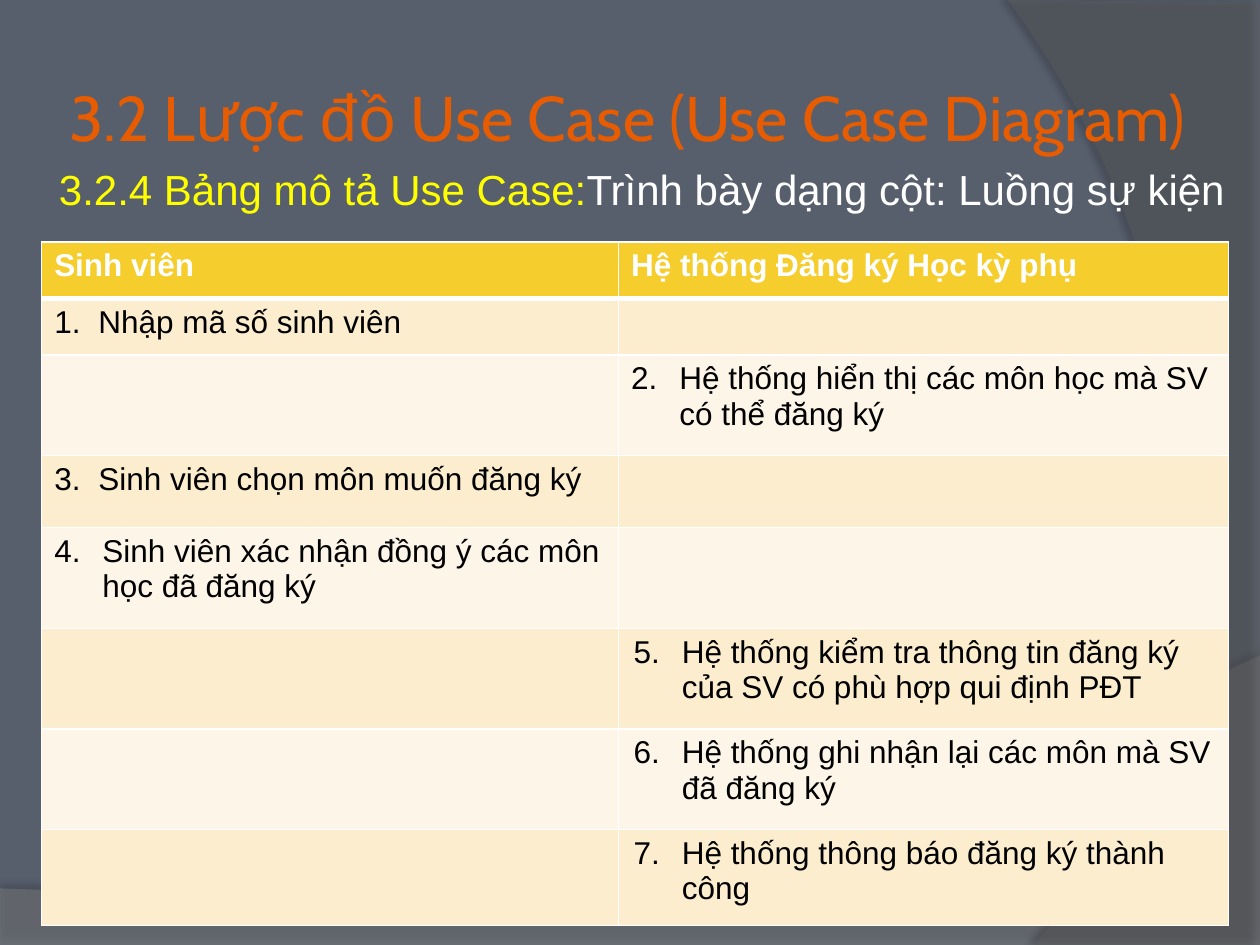
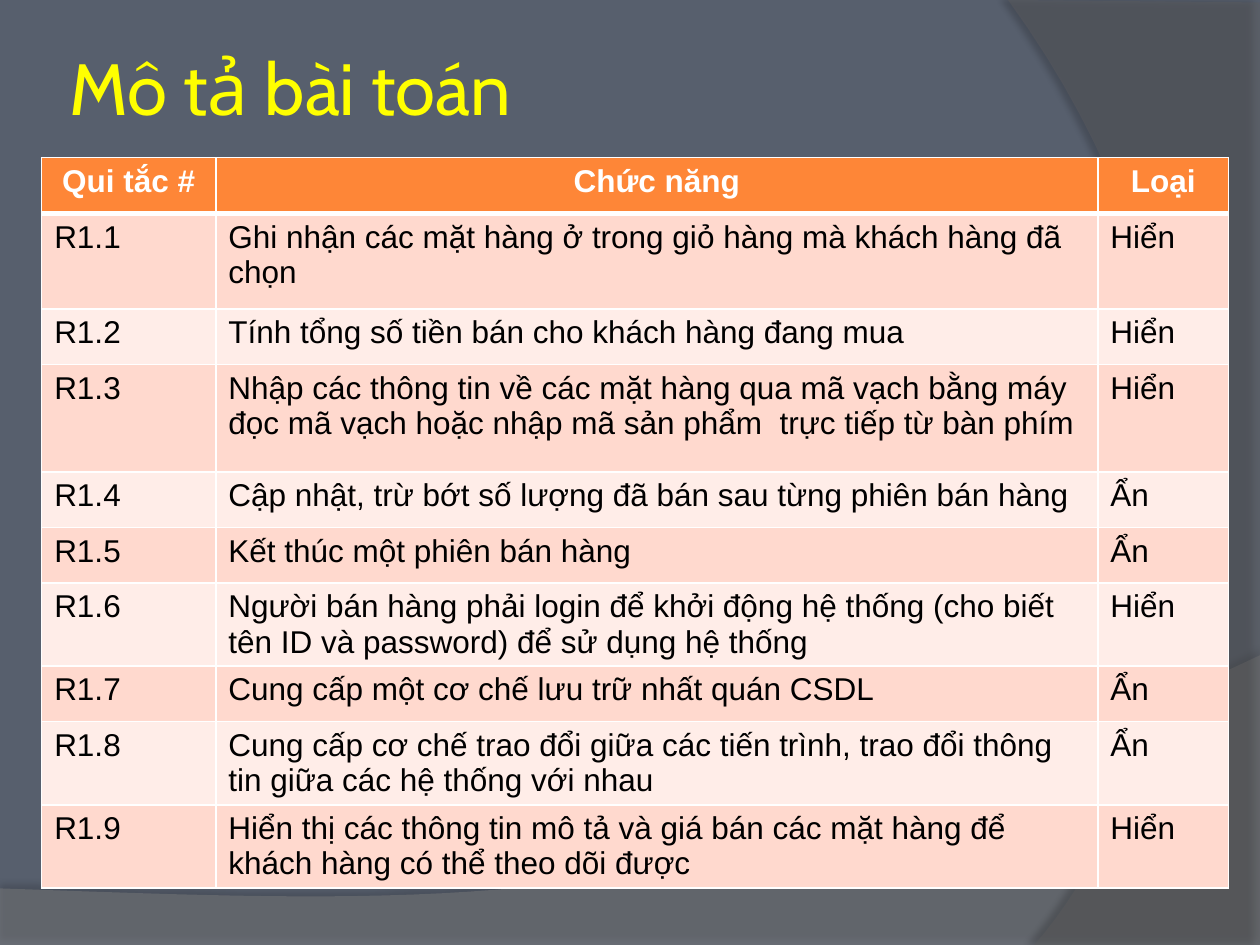
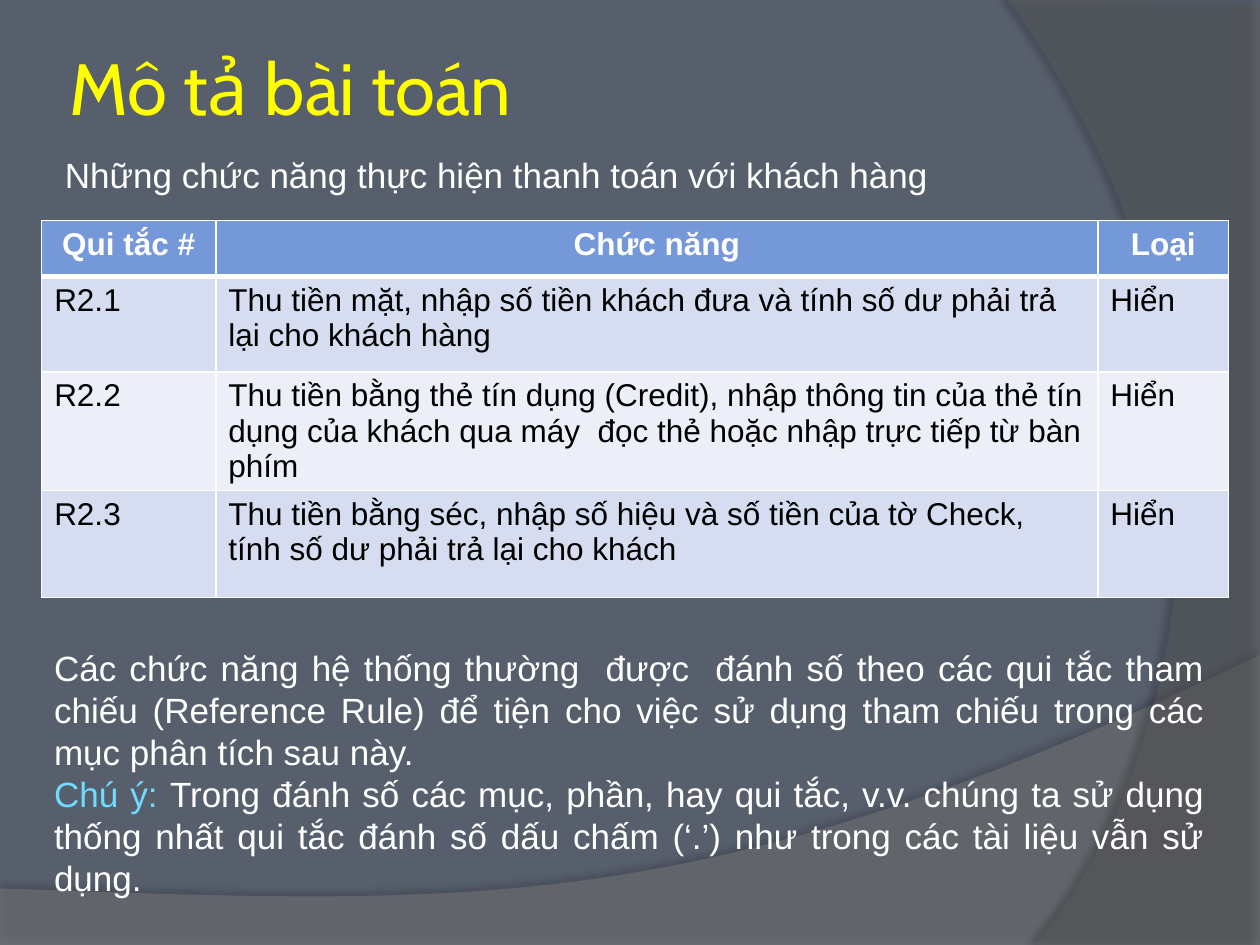
from dataclasses import dataclass

from lxml.etree import SubElement
from pptx import Presentation
from pptx.dml.color import RGBColor
from pptx.enum.text import MSO_ANCHOR, MSO_AUTO_SIZE, PP_ALIGN
from pptx.oxml.ns import qn
from pptx.util import Cm, Pt

MIDDLE = MSO_ANCHOR.MIDDLE
NO_FIT, GROW = MSO_AUTO_SIZE.NONE, MSO_AUTO_SIZE.SHAPE_TO_FIT_TEXT
LEFT, CENTER, JUSTIFY = PP_ALIGN.LEFT, PP_ALIGN.CENTER, PP_ALIGN.JUSTIFY
TITLE_ONLY = 5


@dataclass(frozen=True)
class Palette:
    """Header fill and the two alternating row fills of a table."""
    header: str
    odd: str
    even: str


@dataclass(frozen=True)
class Theme:
    background: str = "575F6D"
    bottom_band: str = "7F7F7F"
    right_band: str = "5E5E5E"
    shadow: str = "000000"
    white: str = "FFFFFF"
    black: str = "000000"
    yellow: str = "FFFF00"
    orange: str = "E75C01"
    sky: str = "71DAFF"
    gold_table: Palette = Palette("F5CD2D", "FBEDCD", "FDF6E8")
    orange_table: Palette = Palette("FE8637", "FFD9CE", "FFEDE8")
    blue_table: Palette = Palette("7598D9", "D6DDF1", "ECEFF8")
    title_font: str = "Cabin"
    body_font: str = "Arial"
    section_size: float = 36
    title_size: float = 41.4
    subtitle_size: float = 24
    text_size: float = 20
    table_size: float = 18
    rule: float = 1
    header_rule: float = 3


THEME = Theme()
TABLE_LEFT = 0.84
RULE_COLUMNS = (3.51, 17.78, 2.64)
RULE_HEADER = ("Qui tắc #", "Chức năng", "Loại")
VISIBLE, HIDDEN = "Hiển", "Ẩn"


@dataclass(frozen=True)
class Step:
    """A numbered step, with its text indent and hanging width in cm."""
    number: int
    text: str
    indent: float = 0.97
    hanging: float = 0.97


EVENT_FLOW = (
    ("Sinh viên", "Hệ thống Đăng ký Học kỳ phụ"),
    (Step(1, "Nhập mã số sinh viên", 0.89, 0.89), ""),
    ("", Step(2, "Hệ thống hiển thị các môn học mà SV có thể đăng ký")),
    (Step(3, "Sinh viên chọn môn muốn đăng ký", 0.89, 0.89), ""),
    (Step(4, "Sinh viên xác nhận đồng ý các môn học đã đăng ký"), ""),
    ("", Step(5, "Hệ thống kiểm tra thông tin đăng ký của SV có phù hợp qui định PĐT", 1.02)),
    ("", Step(6, "Hệ thống ghi nhận lại các môn mà SV đã đăng ký", 1.02)),
    ("", Step(7, "Hệ thống thông báo đăng ký thành công", 1.02)),
)

SALES_RULES = (
    ("Ghi nhận các mặt hàng ở trong giỏ hàng mà khách hàng đã chọn", VISIBLE),
    ("Tính tổng số tiền bán cho khách hàng đang mua", VISIBLE),
    ("Nhập các thông tin về các mặt hàng qua mã vạch bằng máy đọc mã vạch "
     "hoặc nhập mã sản phẩm  trực tiếp từ bàn phím", VISIBLE),
    ("Cập nhật, trừ bớt số lượng đã bán sau từng phiên bán hàng", HIDDEN),
    ("Kết thúc một phiên bán hàng", HIDDEN),
    ("Người bán hàng phải login để khởi động hệ thống (cho biết tên ID và "
     "password) để sử dụng hệ thống", VISIBLE),
    ("Cung cấp một cơ chế lưu trữ nhất quán CSDL", HIDDEN),
    ("Cung cấp cơ chế trao đổi giữa các tiến trình, trao đổi thông tin giữa "
     "các hệ thống với nhau", HIDDEN),
    ("Hiển thị các thông tin mô tả và giá bán các mặt hàng để khách hàng có "
     "thể theo dõi được", VISIBLE),
)

PAYMENT_RULES = (
    ("Thu tiền mặt, nhập số tiền khách đưa và tính số dư phải trả lại cho "
     "khách hàng", VISIBLE),
    ("Thu tiền bằng thẻ tín dụng (Credit), nhập thông tin của thẻ tín\n"
     "dụng của khách qua máy  đọc thẻ hoặc nhập trực tiếp từ bàn\nphím", VISIBLE),
    ("Thu tiền bằng séc, nhập số hiệu và số tiền của tờ Check, tính số dư "
     "phải trả lại cho khách", VISIBLE),
)


def rgb(color):
    return RGBColor.from_string(color)


def apply_format(target, values):
    for name, value in values.items():
        setattr(target, name, value)


def style_font(font, size, color, name=THEME.body_font, bold=False):
    apply_format(font, {"name": name, "size": Pt(size), "bold": bold})
    font.color.rgb = rgb(color)


def place(shape, left, top, width, height):
    apply_format(shape, {"left": Cm(left), "top": Cm(top),
                         "width": Cm(width), "height": Cm(height)})


def bezier(start, control1, control2, end, steps=40):
    """Points along a cubic curve, without its start."""
    points = []
    for step in range(1, steps + 1):
        t = step / steps
        weights = ((1 - t) ** 3, 3 * t * (1 - t) ** 2, 3 * t * t * (1 - t), t ** 3)
        corners = (start, control1, control2, end)
        points.append(tuple(sum(w * c[axis] for w, c in zip(weights, corners))
                            for axis in (0, 1)))
    return points


def add_band(slide, corners, curve, color, opacity, shadow):
    """Closed band: straight corners, then a curve from the last corner.

    shadow is (opacity %, blur pt, distance pt, direction in degrees).
    """
    points = [(Cm(x), Cm(y)) for x, y in [*corners, *bezier(corners[-1], *curve)]]
    builder = slide.shapes.build_freeform(*points[0])
    builder.add_line_segments(points[1:], close=True)
    band = builder.convert_to_shape()
    band.fill.solid()
    band.fill.fore_color.rgb = rgb(color)
    band.line.fill.background()
    band.shadow.inherit = False
    properties = band.element.spPr
    fill_color = properties.find(qn("a:solidFill")).find(qn("a:srgbClr"))
    SubElement(fill_color, qn("a:alpha"), val=str(opacity * 1000))
    strength, blur, distance, direction = shadow
    outer = SubElement(properties.find(qn("a:effectLst")), qn("a:outerShdw"),
                       blurRad=str(Pt(blur)), dist=str(Pt(distance)),
                       dir=str(direction * 60000), algn="ctr", rotWithShape="0")
    shadow_color = SubElement(outer, qn("a:srgbClr"), val=THEME.shadow)
    SubElement(shadow_color, qn("a:alpha"), val=str(strength * 1000))
    return band


def dress_master(deck, slide):
    """Draw the bands on a slide and move them behind the master's content."""
    master = deck.slide_master
    master.background.fill.solid()
    master.background.fill.fore_color.rgb = rgb(THEME.background)
    bands = (
        add_band(slide, [(0, 17.91), (0, 19.05), (25.4, 19.05), (25.4, 13.21)],
                 [(14.2, 18.52), (9.93, 18.26), (0, 17.91)],
                 THEME.bottom_band, 45, (35, 4, 3.5, 270)),
        add_band(slide, [(25.4, 0.05), (25.4, 19.05), (20.85, 19.05)],
                 [(23.75, 15.72), (25.86, 7.62), (20.32, 0)],
                 THEME.right_band, 40, (45, 4, 4, 180)),
    )
    next_id = max(shape.shape_id for shape in master.shapes) + 1
    for order, band in enumerate(bands):
        band.element.nvSpPr.cNvPr.set("id", str(next_id + order))
        master.element.cSld.spTree.insert(2 + order, band.element)


def set_title(slide, text, color=THEME.yellow, size=THEME.title_size,
              width=20.75, height=1.98):
    title = slide.shapes.title
    place(title, 1.27, 0.76, width, height)
    frame = title.text_frame
    inset = Cm(0.13)
    apply_format(frame, {"text": text, "word_wrap": True, "auto_size": NO_FIT,
                         "vertical_anchor": MIDDLE, "margin_left": inset,
                         "margin_right": inset, "margin_top": inset,
                         "margin_bottom": inset})
    paragraph = frame.paragraphs[0]
    paragraph.alignment = LEFT
    style_font(paragraph.runs[0].font, size, color, THEME.title_font)


def add_text(slide, box, paragraphs, size=THEME.text_size, align=LEFT, fit=GROW):
    """Each paragraph is a list of (text, color) runs."""
    frame = slide.shapes.add_textbox(*map(Cm, box)).text_frame
    apply_format(frame, {"word_wrap": True, "auto_size": fit})
    for index, runs in enumerate(paragraphs):
        paragraph = frame.add_paragraph() if index else frame.paragraphs[0]
        paragraph.alignment = align
        for text, color in runs:
            run = paragraph.add_run()
            run.text = text
            style_font(run.font, size, color)
    return frame


def set_borders(cell, top, bottom):
    properties = cell._tc.get_or_add_tcPr()
    widths = {"a:lnL": THEME.rule, "a:lnR": THEME.rule, "a:lnT": top, "a:lnB": bottom}
    for order, (side, width) in enumerate(widths.items()):
        border = SubElement(properties, qn(side), w=str(Pt(width)))
        fill = SubElement(border, qn("a:solidFill"))
        SubElement(fill, qn("a:srgbClr"), val=THEME.white)
        properties.insert(order, border)


def number_paragraph(paragraph, step):
    properties = paragraph._p.get_or_add_pPr()
    properties.set("marL", str(Cm(step.indent)))
    properties.set("indent", str(-Cm(step.hanging)))
    SubElement(properties, qn("a:buFont"), typeface="+mj-lt")
    SubElement(properties, qn("a:buAutoNum"), type="arabicPeriod",
               startAt=str(step.number))


def fill_cell(cell, content, fill, color, bold, align):
    cell.fill.solid()
    cell.fill.fore_color.rgb = rgb(fill)
    is_step = isinstance(content, Step)
    cell.text = content.text if is_step else content
    for paragraph in cell.text_frame.paragraphs:
        paragraph.alignment = align
        style_font(paragraph.font, THEME.table_size, color, bold=bold)
        for run in paragraph.runs:
            style_font(run.font, THEME.table_size, color, bold=bold)
        if is_step:
            number_paragraph(paragraph, content)


def add_grid(slide, top, widths, heights, rows, palette, header_align=LEFT):
    table = slide.shapes.add_table(
        len(rows), len(widths), Cm(TABLE_LEFT), Cm(top),
        Cm(sum(widths)), Cm(sum(heights))).table
    for column, width in zip(table.columns, widths):
        column.width = Cm(width)
    for row, height in zip(table.rows, heights):
        row.height = Cm(height)
    for index, contents in enumerate(rows):
        if index == 0:
            look = (palette.header, THEME.white, True, header_align)
        else:
            look = (palette.odd if index % 2 else palette.even, THEME.black, False, LEFT)
        above = THEME.header_rule if index == 1 else THEME.rule
        below = THEME.header_rule if index == 0 else THEME.rule
        for cell, content in zip(table.rows[index].cells, contents):
            fill_cell(cell, content, *look)
            set_borders(cell, above, below)


def add_rules(slide, top, group, rules, heights, palette):
    """Table of functions, numbered R<group>.1, R<group>.2 and so on."""
    numbered = [(f"R{group}.{number}", *rule) for number, rule in enumerate(rules, 1)]
    add_grid(slide, top, RULE_COLUMNS, heights, [RULE_HEADER, *numbered],
             palette, CENTER)


def build_event_flow(slide):
    set_title(slide, "3.2 Lược đồ Use Case (Use Case Diagram)", THEME.orange,
              THEME.section_size, 23.29, 3.18)
    subtitle = add_text(
        slide, (0.94, 3.18, 24.13, 15.44),
        [[("3.2.4 Bảng mô tả Use Case:", THEME.yellow),
          ("Trình bày dạng cột: Luồng sự kiện", THEME.white)]],
        THEME.subtitle_size, fit=NO_FIT)
    subtitle.paragraphs[0].space_before = Pt(2.4)
    add_grid(slide, 4.88, (11.63, 12.29),
             (1.14, 1.14, 2.03, 1.45, 2.03, 2.03, 2.03, 1.93),
             EVENT_FLOW, THEME.gold_table)


def build_sales_rules(slide):
    set_title(slide, "Mô tả bài toán")
    add_rules(slide, 3.18, 1, SALES_RULES, (1.12, 1.93, 1.12, 2.16, *[1.12] * 6),
              THEME.orange_table)


def build_payment_rules(slide):
    set_title(slide, "Mô tả bài toán")
    add_rules(slide, 4.45, 2, PAYMENT_RULES, (1.12, 1.93, 1.12, 2.16),
              THEME.blue_table)
    add_text(slide, (1.06, 2.97, 23.06, 1.11),
             [[("Những chức năng thực hiện thanh toán với khách hàng", THEME.white)]])
    add_text(slide, (TABLE_LEFT, 12.9, 23.7, 5.38), [
        [("Các chức năng hệ thống thường  được  đánh số theo các qui tắc tham "
          "chiếu (Reference Rule) để tiện cho việc sử dụng tham chiếu trong các "
          "mục phân tích sau này.", THEME.white)],
        [("Chú ý: ", THEME.sky),
         ("Trong đánh số các mục, phần, hay qui tắc, v.v. chúng ta sử dụng thống "
          "nhất qui tắc đánh số dấu chấm (‘.’) như trong các tài liệu vẫn sử "
          "dụng.", THEME.white)],
    ], align=JUSTIFY)


def main():
    deck = Presentation()
    apply_format(deck, {"slide_width": Cm(25.4), "slide_height": Cm(19.05)})
    layout = deck.slide_layouts[TITLE_ONLY]
    for build in (build_event_flow, build_sales_rules, build_payment_rules):
        build(deck.slides.add_slide(layout))
    dress_master(deck, deck.slides[0])
    deck.save("out.pptx")


if __name__ == "__main__":
    main()
